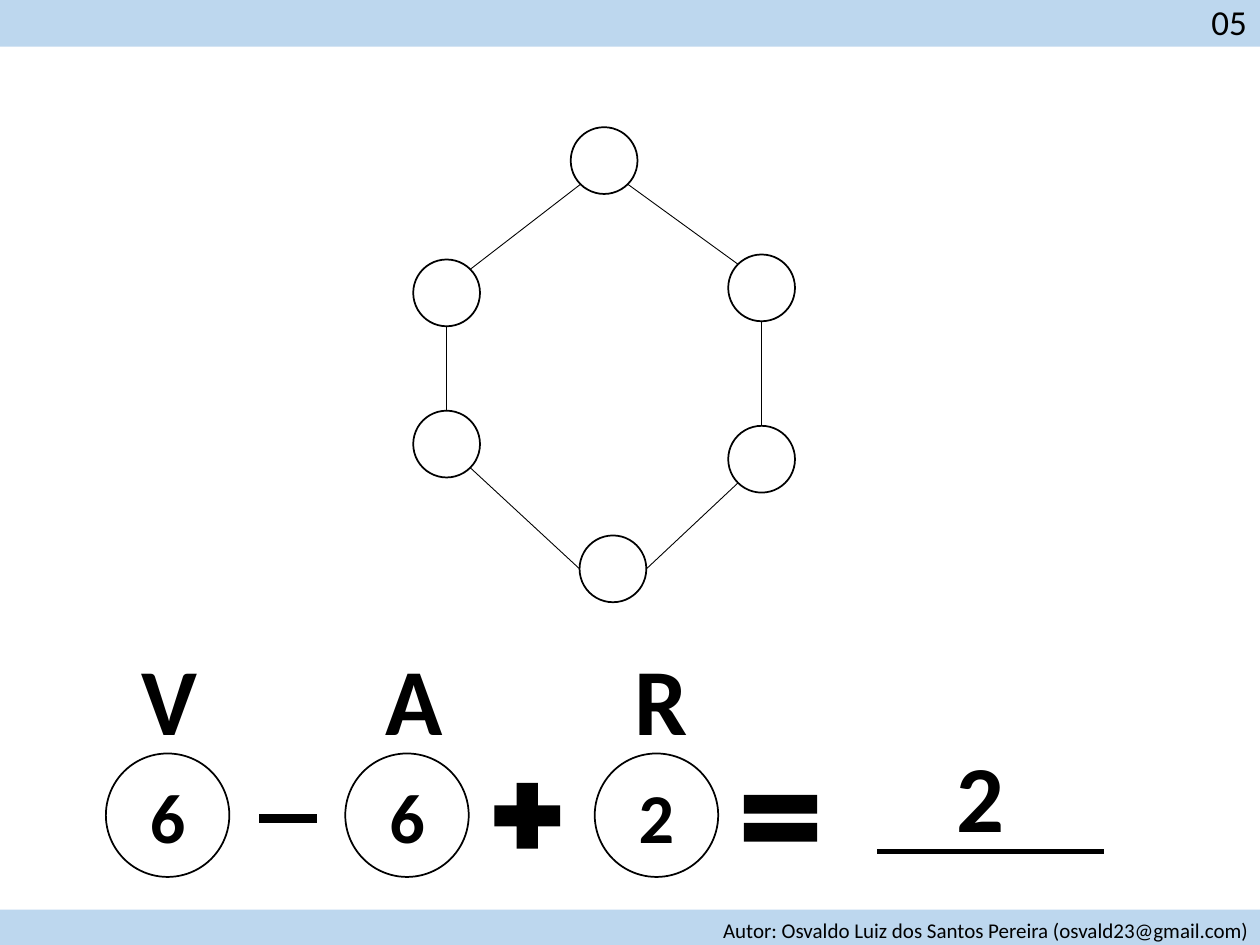
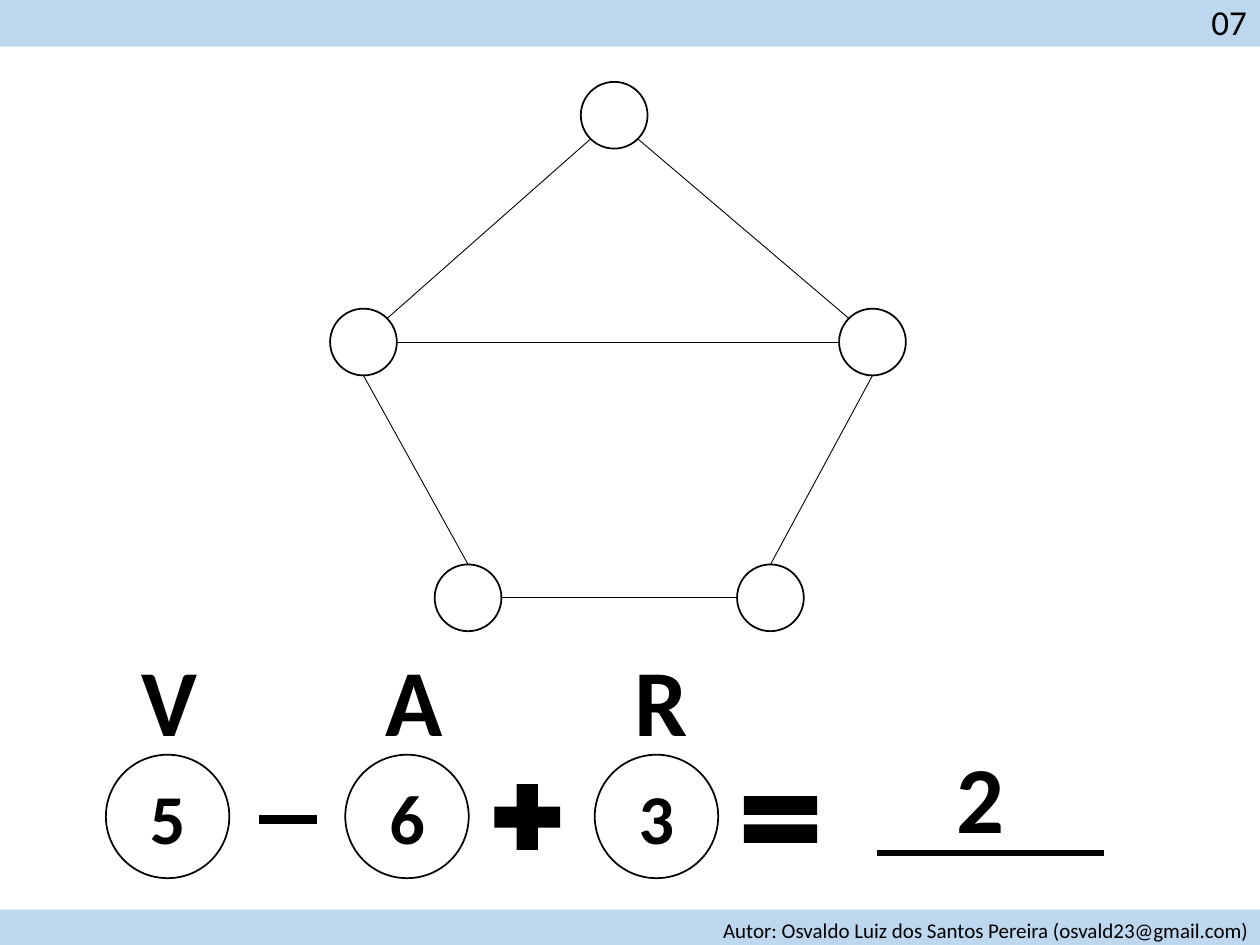
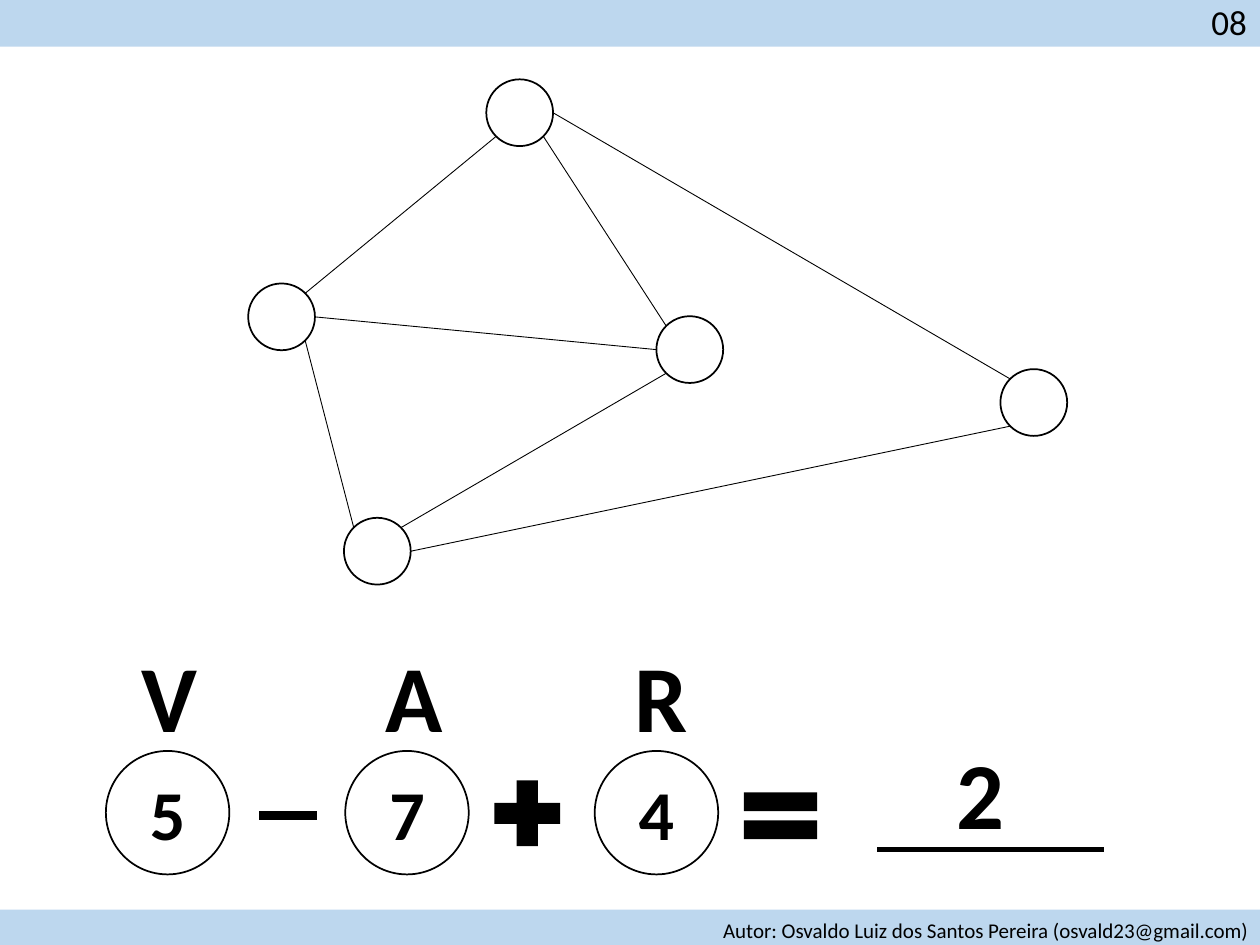
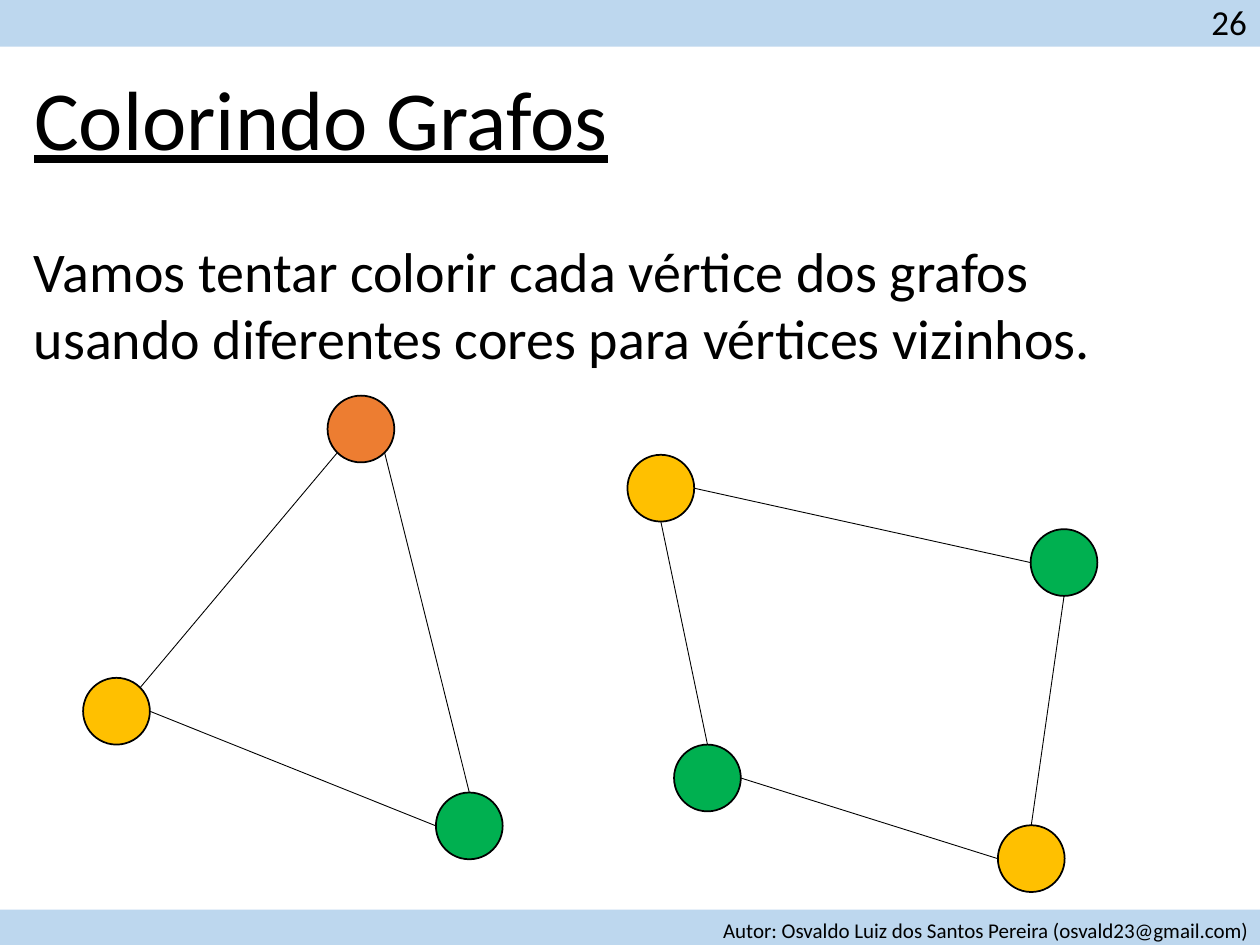
import math

from lxml import etree
from pptx import Presentation
from pptx.dml.color import RGBColor
from pptx.enum.shapes import MSO_CONNECTOR, MSO_SHAPE
from pptx.enum.text import MSO_ANCHOR, MSO_AUTO_SIZE, PP_ALIGN
from pptx.oxml.ns import qn
from pptx.util import Inches, Pt

STRAIGHT = MSO_CONNECTOR.STRAIGHT
OVAL, RECT = MSO_SHAPE.OVAL, MSO_SHAPE.RECTANGLE
MINUS, PLUS, EQUAL = MSO_SHAPE.MATH_MINUS, MSO_SHAPE.MATH_PLUS, MSO_SHAPE.MATH_EQUAL
TOP, MIDDLE = MSO_ANCHOR.TOP, MSO_ANCHOR.MIDDLE
LEFT, CENTER = PP_ALIGN.LEFT, PP_ALIGN.CENTER
FIT_SHAPE, NO_FIT = MSO_AUTO_SIZE.SHAPE_TO_FIT_TEXT, MSO_AUTO_SIZE.NONE
TITLE_ONLY, BLANK = 5, 6

# Shared style
FONT = "Calibri"
BLACK, BAND = "000000", "BDD7EE"
ORANGE, YELLOW, GREEN = "ED7D31", "FFC000", "00B050"
SLIDE_W, SLIDE_H = 10, 7.5
NODE = 0.53       # diameter of a graph vertex
COUNTER = 0.98    # diameter of a circle in the formula
AUTHOR = "Autor: Osvaldo Luiz dos Santos Pereira (osvald23@gmail.com)"

# Content: vertices are (left, top[, fill]); edges join (vertex, side) pairs
FORMULA_SLIDES = [
    {"number": "05", "row": 5.98, "values": "662", "result": "2",
     "nodes": {"top": (4.53, 1.01), "left1": (3.28, 2.06), "right1": (5.78, 2.02),
               "left2": (3.28, 3.26), "right2": (5.78, 3.38), "bottom": (4.6, 4.25)},
     "edges": [("left1", "ne", "top", "sw"), ("right1", "nw", "top", "se"),
               ("left2", "n", "left1", "s"), ("right2", "n", "right1", "s"),
               ("left2", "se", "bottom", "w"), ("bottom", "e", "right2", "sw")]},
    {"number": "07", "row": 5.99, "values": "563", "result": "2",
     "nodes": {"top": (4.61, 0.65), "left": (2.62, 2.45), "right": (6.66, 2.45),
               "base1": (3.45, 4.48), "base2": (5.85, 4.48)},
     "edges": [("left", "ne", "top", "sw"), ("right", "nw", "top", "se"),
               ("base1", "n", "left", "s"), ("base2", "n", "right", "s"),
               ("base1", "e", "base2", "w"), ("left", "e", "right", "w")]},
    {"number": "08", "row": 5.96, "values": "574", "result": "2",
     "nodes": {"top": (3.86, 0.63), "bottom": (2.73, 4.11), "left": (1.97, 2.25),
               "middle": (5.21, 2.51), "right": (7.94, 2.93)},
     "edges": [("left", "ne", "top", "sw"), ("middle", "nw", "top", "se"),
               ("left", "se", "bottom", "nw"), ("bottom", "ne", "middle", "sw"),
               ("middle", "w", "left", "e"), ("right", "nw", "top", "e"),
               ("bottom", "e", "right", "sw")]},
]
COLORING = {
    "number": "26",
    "title": "Colorindo Grafos",
    "body": "Vamos tentar colorir cada vértice dos grafos usando diferentes "
            "cores para vértices vizinhos.",
    "nodes": {"apex": (2.6, 3.14, ORANGE), "left": (0.66, 5.38, YELLOW),
              "right": (3.46, 6.29, GREEN),
              "nw": (4.98, 3.61, YELLOW), "sw": (5.35, 5.91, GREEN),
              "se": (7.92, 6.55, YELLOW), "ne": (8.18, 4.2, GREEN)},
    "edges": [("left", "ne", "apex", "sw"), ("right", "n", "apex", "se"),
              ("right", "w", "left", "e"),
              ("sw", "n", "nw", "s"), ("ne", "w", "nw", "e"),
              ("se", "w", "sw", "e"), ("se", "n", "ne", "s")],
}

# Formula parts: x, and y measured from the top of the circles
TERMS = [("V", 0.91, 0.84), ("A", 2.85, 2.74), ("R", 4.81, 4.72)]
SIGNS = [(MINUS, 1.97, 0.36, 0.63, 0.31), (PLUS, 3.83, 0.14, 0.71, 0.71),
         (EQUAL, 5.8, 0.2, 0.79, 0.63)]
LABEL_W, LABEL_H, LABEL_DY = 0.87, 1.01, -0.95
RESULT_X, RESULT_DY = 7.35, -0.18
ANSWER_X1, ANSWER_X2, ANSWER_DY = 6.96, 8.76, 0.78

SIDES = {side: math.radians(45 * i)
         for i, side in enumerate(("e", "se", "s", "sw", "w", "nw", "n", "ne"))}


def rgb(color):
    return RGBColor.from_string(color)


def write(s, text, size, bold=False, underline=False, align=LEFT, anchor=TOP, fit=NO_FIT):
    tf = s.text_frame
    tf.text = text
    tf.word_wrap = True
    tf.auto_size = fit
    tf.vertical_anchor = anchor
    p = tf.paragraphs[0]
    p.alignment = align
    p.line_spacing = 1.0
    font = p.runs[0].font
    font.name, font.size, font.color.rgb = FONT, Pt(size), rgb(BLACK)
    font.bold, font.underline = bold, underline


def text_box(sl, x, y, w, h, text, size, **style):
    s = sl.shapes.add_textbox(Inches(x), Inches(y), Inches(w), Inches(h))
    write(s, text, size, fit=FIT_SHAPE, **style)


def shape(sl, kind, x, y, w, h, fill=None, outline=False):
    s = sl.shapes.add_shape(kind, Inches(x), Inches(y), Inches(w), Inches(h))
    s.shadow.inherit = False
    if fill:
        s.fill.solid()
        s.fill.fore_color.rgb = rgb(fill)
    else:
        s.fill.background()
    if outline:
        s.line.color.rgb = rgb(BLACK)
        s.line.width = Pt(1)
    else:
        s.line.fill.background()
    return s


def line(sl, x1, y1, x2, y2, width):
    c = sl.shapes.add_connector(STRAIGHT, Inches(x1), Inches(y1), Inches(x2), Inches(y2))
    c.line.color.rgb = rgb(BLACK)
    c.line.width = Pt(width)
    etree.SubElement(c.element.spPr, qn("a:effectLst"))


def rim(node, side):
    """Point on a vertex's outline in the given compass direction."""
    r, angle = NODE / 2, SIDES[side]
    return node[0] + r + r * math.cos(angle), node[1] + r + r * math.sin(angle)


def graph(sl, nodes, edges):
    for x, y, *fill in nodes.values():
        shape(sl, OVAL, x, y, NODE, NODE, fill[0] if fill else None, outline=True)
    for start, side1, end, side2 in edges:
        line(sl, *rim(nodes[start], side1), *rim(nodes[end], side2), 0.5)


def formula(sl, row, values, result):
    big = {"size": 54, "bold": True, "align": CENTER, "anchor": MIDDLE}
    for (letter, label_x, x), value in zip(TERMS, values):
        s = shape(sl, OVAL, x, row, COUNTER, COUNTER, outline=True)
        write(s, value, 40, bold=True, align=CENTER, anchor=MIDDLE)
        text_box(sl, label_x, row + LABEL_DY, LABEL_W, LABEL_H, letter, **big)
    for kind, x, dy, w, h in SIGNS:
        shape(sl, kind, x, row + dy, w, h, BLACK)
    line(sl, ANSWER_X2, row + ANSWER_DY, ANSWER_X1, row + ANSWER_DY, 3)
    text_box(sl, RESULT_X, row + RESULT_DY, LABEL_W, LABEL_H, result, **big)


def bands(sl, number):
    shape(sl, RECT, 0, 7.22, SLIDE_W, 0.28, BAND)
    text_box(sl, 5.64, 7.23, 4.42, 0.3, AUTHOR, 12)
    shape(sl, RECT, 0, 0, SLIDE_W, 0.37, BAND)
    text_box(sl, 9.51, -0.05, 0.49, 0.44, number, 20, align=CENTER, anchor=MIDDLE)


def main():
    prs = Presentation()
    prs.slide_width, prs.slide_height = Inches(SLIDE_W), Inches(SLIDE_H)

    # Graphs with V - A + R
    for d in FORMULA_SLIDES:
        sl = prs.slides.add_slide(prs.slide_layouts[BLANK])
        graph(sl, d["nodes"], d["edges"])
        formula(sl, d["row"], d["values"], d["result"])
        bands(sl, d["number"])

    # Graph colouring
    sl = prs.slides.add_slide(prs.slide_layouts[TITLE_ONLY])
    title = sl.shapes.title
    title.left, title.top = Inches(0.17), Inches(0.48)
    title.width, title.height = Inches(8.68), Inches(0.91)
    write(title, COLORING["title"], 48, underline=True)
    text_box(sl, 0.17, 1.83, 8.68, 1.17, COLORING["body"], 32)
    graph(sl, COLORING["nodes"], COLORING["edges"])
    bands(sl, COLORING["number"])

    prs.save("out.pptx")


if __name__ == "__main__":
    main()
